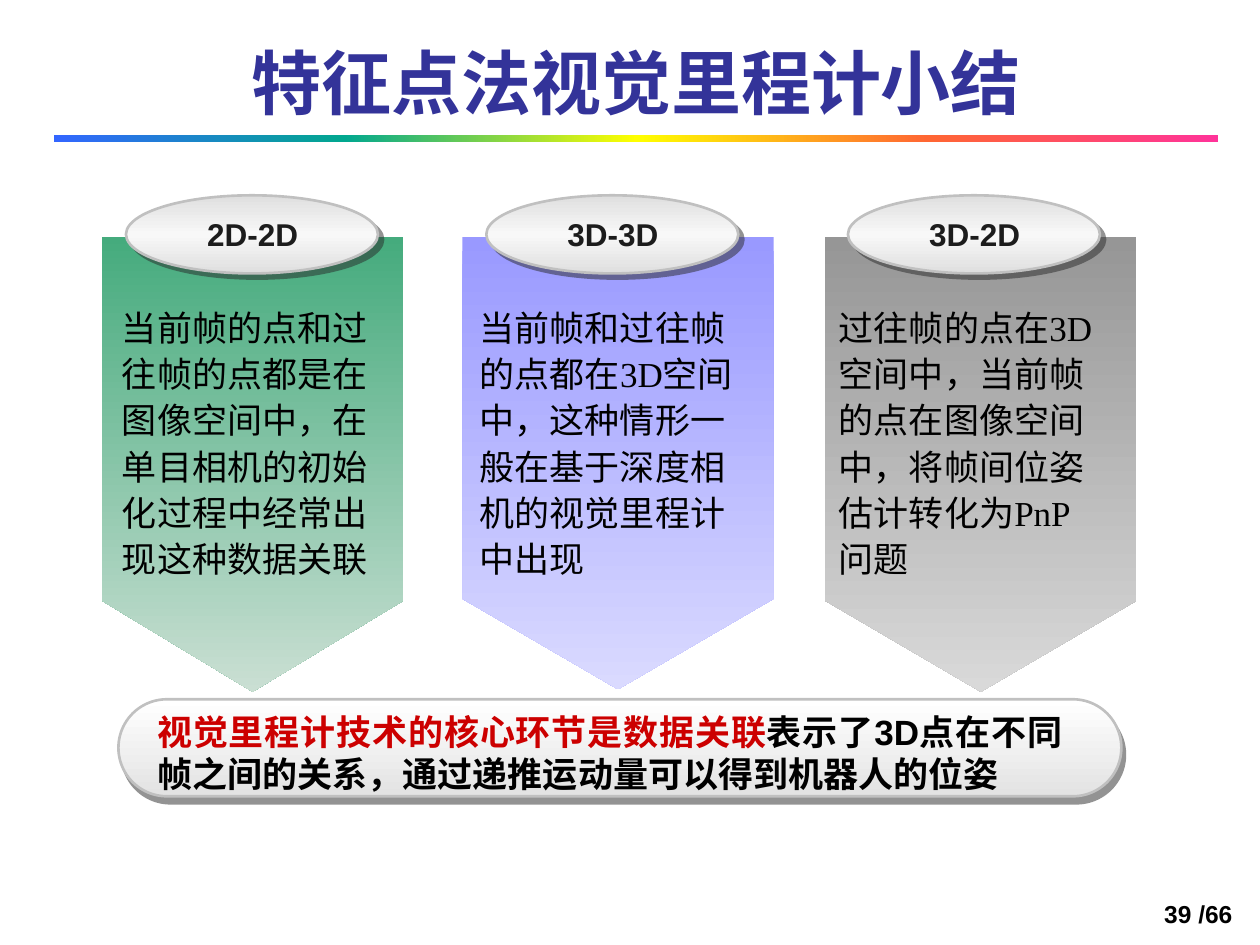
from dataclasses import dataclass

from lxml import etree
from pptx import Presentation
from pptx.dml.color import RGBColor
from pptx.enum import shapes, text
from pptx.oxml import ns
from pptx.util import Inches, Pt

BLACK = RGBColor(0x00, 0x00, 0x00)
INK = RGBColor(0x1C, 0x1C, 0x1C)
RED = RGBColor(0xCC, 0x00, 0x00)
NAVY = RGBColor(0x33, 0x33, 0x99)
SILVER = RGBColor(0xC0, 0xC0, 0xC0)
SHADOW = RGBColor(0x29, 0x29, 0x29)
RAINBOW = [RGBColor.from_string(c) for c in ("3366FF", "01A78F", "FFFF00", "FF6633", "FF3399")]
GLOSS = [RGBColor.from_string(c) for c in ("DFDFDF", "F8F8F8", "DFDFDF")]
PALE = [RGBColor.from_string(c) for c in ("FFFFFF", "E3E3E3")]
GREEN = [RGBColor.from_string(c) for c in ("45AB7D", "CADFD3")]
VIOLET = [RGBColor.from_string(c) for c in ("9999FF", "DADAFF")]
GRAY = [RGBColor.from_string(c) for c in ("969696", "D9D9D9")]

CJK_FONT = "Noto Sans CJK SC"
SERIF = "Times New Roman"
Shape = shapes.MSO_SHAPE
Align = text.PP_ALIGN
Anchor = text.MSO_ANCHOR


@dataclass
class Box:
    left: float
    top: float
    width: float
    height: float

    def lengths(self) -> list:
        return [Inches(v) for v in (self.left, self.top, self.width, self.height)]


@dataclass
class Run:
    words: str
    size: int
    color: RGBColor = BLACK
    font: str = "Arial"
    bold: bool = True


@dataclass
class Column:
    label: str
    words: str
    colors: list
    arrow: Box
    oval_left: float
    text_left: float


COLUMNS = [
    Column("2D-2D", "当前帧的点和过往帧的点都是在图像空间中，在单目相机的初始化过程中经常出现这种数据关联",
           GREEN, Box(0.81, 1.88, 2.39, 3.61), 1.0, 0.87),
    Column("3D-3D", "当前帧和过往帧的点都在3D空间中，这种情形一般在基于深度相机的视觉里程计中出现",
           VIOLET, Box(3.67, 1.88, 2.47, 3.59), 3.86, 3.71),
    Column("3D-2D", "过往帧的点在3D空间中，当前帧的点在图像空间中，将帧间位姿估计转化为PnP问题",
           GRAY, Box(6.55, 1.88, 2.47, 3.61), 6.73, 6.56),
]


def add_child(parent, tag: str, **attributes):
    return etree.SubElement(parent, ns.qn(tag), {k: str(v) for k, v in attributes.items()})


def add_gradient_shape(slide, kind, box: Box, colors: list, angle: int = 90):
    """Add a borderless shape with evenly spaced gradient stops."""
    shape = slide.shapes.add_shape(kind, *box.lengths())
    shape.shadow.inherit = False
    shape.line.fill.background()
    shape.fill.gradient()
    gradient = shape._element.spPr.find(ns.qn("a:gradFill"))
    for child in list(gradient):
        gradient.remove(child)
    stops = add_child(gradient, "a:gsLst")
    for index, color in enumerate(colors):
        stop = add_child(stops, "a:gs", pos=round(100000 * index / (len(colors) - 1)))
        add_child(stop, "a:srgbClr", val=color)
    add_child(gradient, "a:lin", ang=angle * 60000, scaled=0)
    return shape


def add_raised_shape(slide, kind, box: Box, colors: list, distance: float, direction: int):
    """Add a gradient shape with a silver border and a hard shadow."""
    shape = add_gradient_shape(slide, kind, box, colors)
    shape.line.color.rgb = SILVER
    shape.line.width = Pt(1.5)
    effects = shape._element.spPr.find(ns.qn("a:effectLst"))
    shadow = add_child(effects, "a:outerShdw", blurRad=0, dist=Pt(distance),
                       dir=direction * 60000, algn="ctr", rotWithShape=0)
    color = add_child(shadow, "a:srgbClr", val=SHADOW)
    add_child(color, "a:alpha", val=50000)
    return shape


def write(frame, runs: list, frame_format: dict, paragraph_format: dict) -> None:
    for name, value in frame_format.items():
        setattr(frame, name, value)
    paragraph = frame.paragraphs[0]
    for name, value in paragraph_format.items():
        setattr(paragraph, name, value)
    for item in runs:
        run = paragraph.add_run()
        run.text = item.words
        for name, value in {"size": Pt(item.size), "bold": item.bold, "name": item.font}.items():
            setattr(run.font, name, value)
        run.font.color.rgb = item.color
        latin = run.font._element.find(ns.qn("a:latin"))
        latin.addnext(latin.makeelement(ns.qn("a:ea"), {"typeface": CJK_FONT}))


def add_text(slide, box: Box, runs: list, wrap: bool = True,
             anchor=Anchor.TOP, **paragraph_format) -> None:
    frame = slide.shapes.add_textbox(*box.lengths()).text_frame
    write(frame, runs, {"word_wrap": wrap, "vertical_anchor": anchor}, paragraph_format)


def add_column(slide, column: Column) -> None:
    add_gradient_shape(slide, Shape.FLOWCHART_OFFPAGE_CONNECTOR, column.arrow, column.colors)
    add_raised_shape(slide, Shape.OVAL, Box(column.oval_left, 1.55, 2, 0.62), GLOSS, 4.2, 45)
    add_text(slide, Box(column.oval_left + 0.54, 1.66, 0.93, 0.4),
             [Run(column.label, 18, INK)], wrap=False, alignment=Align.CENTER)
    add_text(slide, Box(column.text_left, 2.35, 2.3, 2.29),
             [Run(column.words, 20, font=SERIF, bold=False)], line_spacing=1.1)


def add_title(slide) -> None:
    title = slide.shapes.title
    title.left, title.top, title.width, title.height = Box(0.43, 0.08, 9.24, 0.95).lengths()
    write(title.text_frame, [Run("特征点法视觉里程计小结", 40, NAVY, CJK_FONT)],
          {"word_wrap": True, "vertical_anchor": Anchor.BOTTOM,
           "auto_size": text.MSO_AUTO_SIZE.NONE}, {"alignment": Align.CENTER})


def add_conclusion(slide) -> None:
    bar = add_raised_shape(slide, Shape.ROUNDED_RECTANGLE,
                           Box(0.94, 5.55, 7.96, 0.77), PALE, 4.5, 63)
    bar.adjustments[0] = 0.5
    add_text(slide, Box(1.15, 5.59, 7.38, 0.77), [
        Run("视觉里程计技术的核心环节是数据关联", 20, RED),
        Run("表示了3D点在不同帧之间的关系，", 20),
        Run("通过递推运动量可以得到机器人的位姿", 20, font=SERIF),
    ], alignment=Align.JUSTIFY)


def main() -> None:
    presentation = Presentation()
    presentation.slide_width, presentation.slide_height = Inches(10), Inches(7.5)
    slide = presentation.slides.add_slide(presentation.slide_layouts[5])
    add_gradient_shape(slide, Shape.RECTANGLE, Box(0.43, 1.07, 9.24, 0.06), RAINBOW, angle=0)
    add_title(slide)
    for column in COLUMNS:
        add_column(slide, column)
    add_conclusion(slide)
    add_text(slide, Box(7.8, 6.92, 2.08, 0.5), [Run("39 /66", 14)],
             anchor=Anchor.BOTTOM, alignment=Align.RIGHT)
    presentation.save("out.pptx")


if __name__ == "__main__":
    main()
